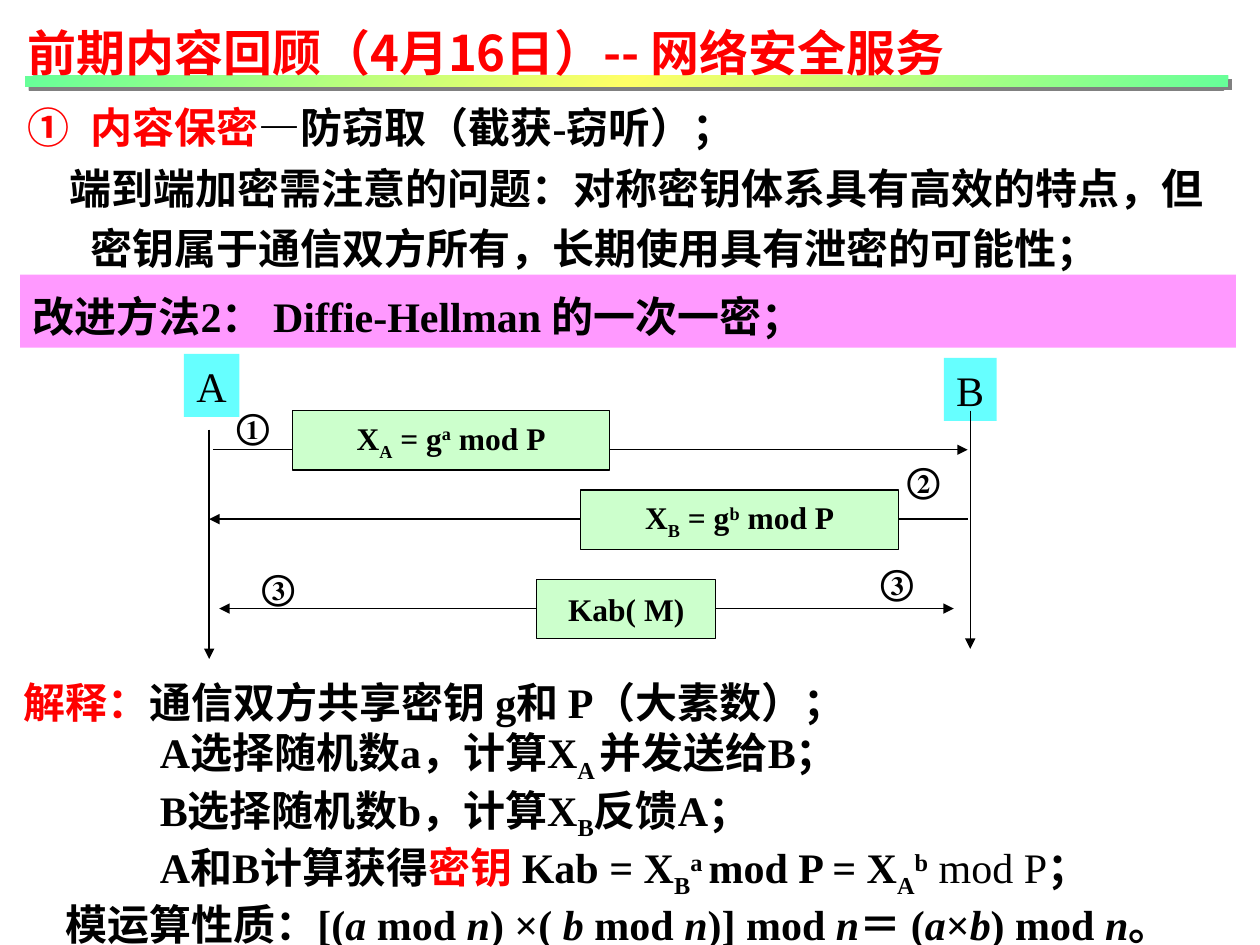
from lxml import etree
from pptx import Presentation
from pptx.dml.color import RGBColor
from pptx.enum.shapes import MSO_CONNECTOR, MSO_SHAPE
from pptx.enum.text import MSO_ANCHOR, MSO_AUTO_SIZE, PP_ALIGN
from pptx.oxml.ns import qn
from pptx.util import Inches, Pt

RECT = MSO_SHAPE.RECTANGLE
LINE = MSO_CONNECTOR.STRAIGHT
TOP, MID = MSO_ANCHOR.TOP, MSO_ANCHOR.MIDDLE
LEFT, MIDDLE = PP_ALIGN.LEFT, PP_ALIGN.CENTER
NONE = MSO_AUTO_SIZE.NONE
SERIF, SANS = "Times New Roman", "Noto Sans CJK SC"
BLACK, RED = "000000", "FF0000"
PINK, CYAN, GREEN = "FF99FF", "66FFFF", "CCFFCC"
BAR = [(0, "66FF99"), (50, "FFFF66"), (100, "66FF99")]

# Run marks: r red, i italic, n not bold, _ subscript, ^ superscript
TITLE = [("前期内容回顾（4月16日）-- 网络安全服务", "r")]
METHOD = [("改进方法2： Diffie-Hellman 的一次一密；", "")]
POINT = [("内容保密", "r"), ("—防窃取（截获-窃听）；", "")]
ISSUE = [("端到端加密需注意的问题：对称密钥体系具有高效的特点，"
          "但密钥属于通信双方所有，长期使用具有泄密的可能性；", "")]
NOTES = [
    (0, [("解释：", "r"), ("通信双方共享密钥 g和 P（大素数）；", "")]),
    (1.08, [("A选择随机数a，计算X", ""), ("A ", "_"), ("并发送给B；", "")]),
    (1.08, [("B选择随机数b，计算X", ""), ("B", "_"), ("反馈A；", "")]),
    (1.08, [("A和B计算获得", ""), ("密钥 ", "r"), ("Kab = X", ""),
            ("B", "_"), ("a ", "^"), ("mod P = X", ""), ("A", "_"),
            ("b", "^"), (" mod P", "n"), ("；", "")]),
    (0.33, [("模运算性质：[(", ""), ("a ", "i"), ("mod ", ""), ("n", "i"),
            (") ×( ", ""), ("b ", "i"), ("mod ", ""), ("n", "i"),
            (")] mod ", ""), ("n", "i"), ("＝ (", ""), ("a", "i"),
            ("×", ""), ("b", "i"), (") mod ", ""), ("n", "i"), ("。", "")]),
]
ARROWS = [
    (1.66, 4.12, 7.68, 4.12, "head"),
    (1.69, 3.57, 7.68, 3.57, "tail"),
    (1.66, 3.41, 1.66, 5.23, "tail"),
    (7.7, 3.26, 7.7, 5.15, "tail"),
    (1.74, 4.83, 7.57, 4.83, "head tail"),
]
ENDS = [("A", 1.46, 2.81, 0.44), ("B", 7.49, 2.84, 0.42)]
BOXES = [
    (2.32, 3.26, 2.52,
     [("X", ""), ("A", "_"), (" = g", ""), ("a", "^"), (" mod P", "")]),
    (4.61, 3.89, 2.52,
     [("X", ""), ("B", "_"), (" = g", ""), ("b", "^"), (" mod P", "")]),
    (4.26, 4.6, 1.42, [("Kab( M)", "")]),
]
STEPS = [("①", 1.78, 3.16), ("②", 7.1, 3.59),
         ("③", 1.98, 4.44), ("③", 6.89, 4.4)]


def color(code):
    return RGBColor.from_string(code)


def inches(*nums):
    return [Inches(n) for n in nums]


def node(parent, tag, **attrs):
    return etree.SubElement(parent, qn(tag), attrs)


def write(para, runs, size, font=SERIF, align=LEFT):
    para.alignment = align
    for text, marks in runs:
        run = para.add_run()
        run.text = text
        face = run.font
        face.name, face.size = font, Pt(size)
        face.bold, face.italic = "n" not in marks, "i" in marks
        face.color.rgb = color(RED if "r" in marks else BLACK)
        props = run.font._element
        node(props, "a:ea", typeface=SANS)
        if "_" in marks:
            props.set("baseline", "-25000")
        if "^" in marks:
            props.set("baseline", "30000")


def indent(para, left, first=0):
    props = para._p.get_or_add_pPr()
    props.set("marL", str(Inches(left)))
    props.set("indent", str(Inches(first)))
    return props


def frame(shape, wrap=False, anchor=TOP):
    text = shape.text_frame
    text.word_wrap, text.vertical_anchor = wrap, anchor
    text.auto_size = NONE
    return text


def block(shapes, box, fill, edge=False):
    shape = shapes.add_shape(RECT, *inches(*box))
    shape.shadow.inherit = False
    shape.fill.solid()
    shape.fill.fore_color.rgb = color(fill)
    if edge:
        shape.line.color.rgb = color(BLACK)
        shape.line.width = Pt(0.75)
    else:
        shape.line.fill.background()
    return shape


def arrow(shapes, x1, y1, x2, y2, tips):
    line = shapes.add_connector(LINE, *inches(x1, y1, x2, y2))
    line.line.color.rgb = color(BLACK)
    line.line.width = Pt(0.75)
    for tip in tips.split():
        node(line.line._get_or_add_ln(), f"a:{tip}End", type="triangle")
    node(line._element.spPr, "a:effectLst")


def rule(shapes):
    bar = shapes.add_shape(RECT, *inches(0.2, 0.6, 9.55, 0.09))
    bar.shadow.inherit = False
    bar.line.fill.background()
    bar.fill.gradient()
    bar.fill.gradient_angle = 315
    props = bar._element.spPr
    stops = props.find(".//" + qn("a:gsLst"))
    for old in list(stops):
        stops.remove(old)
    for at, code in BAR:
        stop = node(stops, "a:gs", pos=str(at * 1000))
        node(stop, "a:srgbClr", val=code)
    cast = node(props.find(qn("a:effectLst")), "a:outerShdw", blurRad="0",
                dist=str(Pt(2.8)), dir="2700000", algn="ctr", rotWithShape="0")
    node(cast, "a:srgbClr", val="808080")


def diagram(shapes):
    for item in ARROWS:
        arrow(shapes, *item)
    for name, x, y, wide in ENDS:
        shape = block(shapes, (x, y, wide, 0.5), CYAN)
        write(frame(shape).paragraphs[0], [(name, "n")], 24)
    for x, y, wide, runs in BOXES:
        shape = block(shapes, (x, y, wide, 0.47), GREEN, True)
        write(frame(shape, anchor=MID).paragraphs[0], runs, 18, align=MIDDLE)
    for mark, x, y in STEPS:
        shape = shapes.add_textbox(*inches(x, y, 0.48, 0.43))
        write(frame(shape).paragraphs[0], [(mark, "")], 20)
    for end in [s for s in shapes if s.has_text_frame and s.text_frame.text == "B"]:
        tree = end._element.getparent()
        tree.remove(end._element)
        tree.insert(2, end._element)


def main():
    deck = Presentation()
    deck.slide_width, deck.slide_height = inches(10, 7.5)
    slide = deck.slides.add_slide(deck.slide_layouts[5])
    shapes = slide.shapes
    rule(shapes)

    band = block(shapes, (0.16, 2.18, 9.65, 0.58), PINK)
    para = frame(band, True).paragraphs[0]
    indent(para, 0.5, -0.5)
    para.line_spacing = 1.2
    write(para, METHOD, 24)

    notes = frame(shapes.add_textbox(*inches(0.09, 5.32, 9.71, 2.12)))
    for i, (left, runs) in enumerate(NOTES):
        para = notes.add_paragraph() if i else notes.paragraphs[0]
        indent(para, left)
        write(para, runs, 24)

    diagram(shapes.add_group_shape().shapes)

    intro = frame(shapes.add_textbox(*inches(0.12, 0.76, 9.65, 1.46)), True)
    para = intro.paragraphs[0]
    node(indent(para, 0.5, -0.5), "a:buAutoNum", type="circleNumDbPlain")
    write(para, POINT, 24)
    para = intro.add_paragraph()
    indent(para, 0.5, -0.17)
    para.line_spacing = 1.2
    write(para, ISSUE, 24)

    title = shapes.title
    title.left, title.top, title.width, title.height = inches(0.12, 0.13, 9.37, 0.57)
    write(frame(title, True).paragraphs[0], TITLE, 28, SANS)
    title._element.getparent().append(title._element)
    deck.save("out.pptx")


if __name__ == "__main__":
    main()
